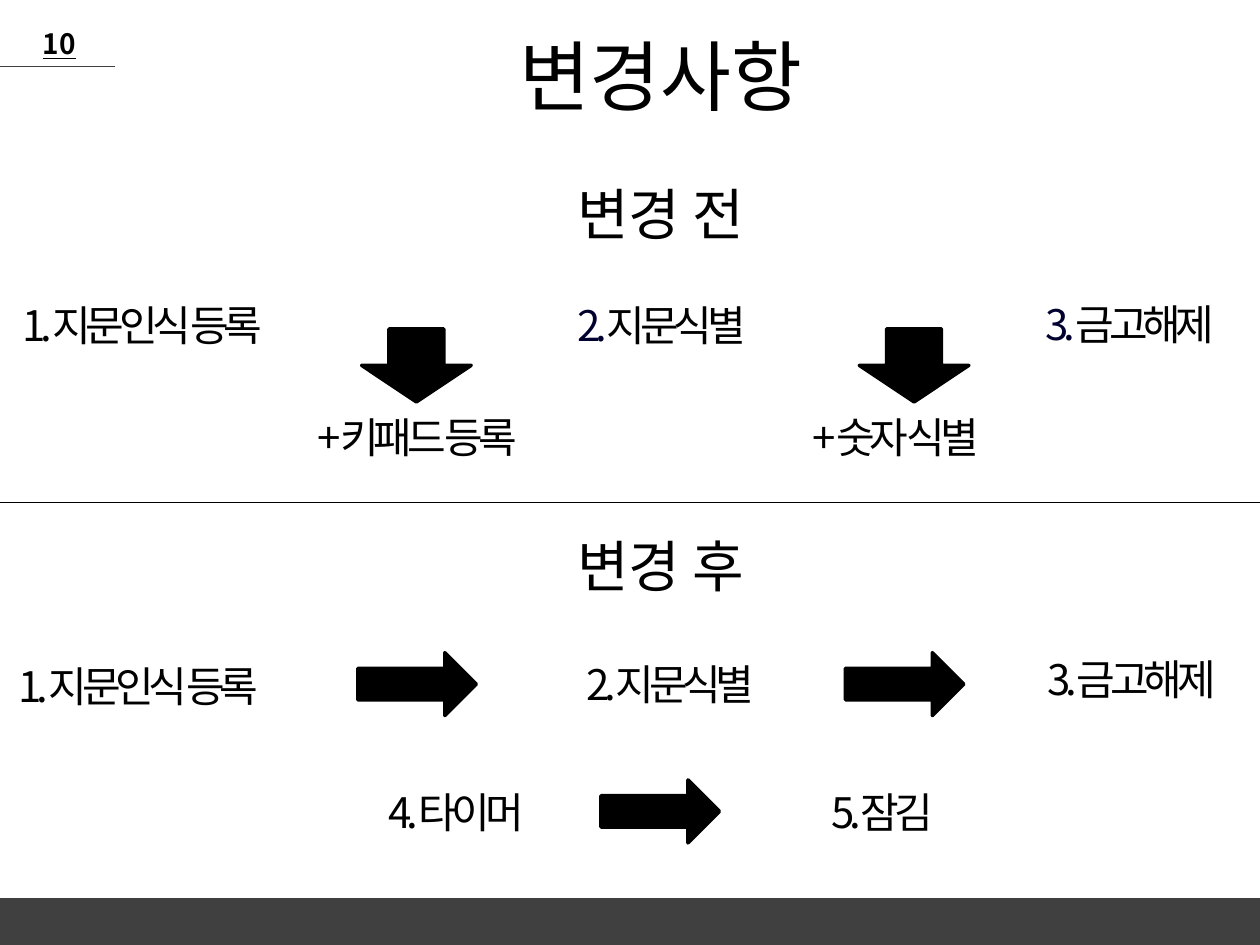
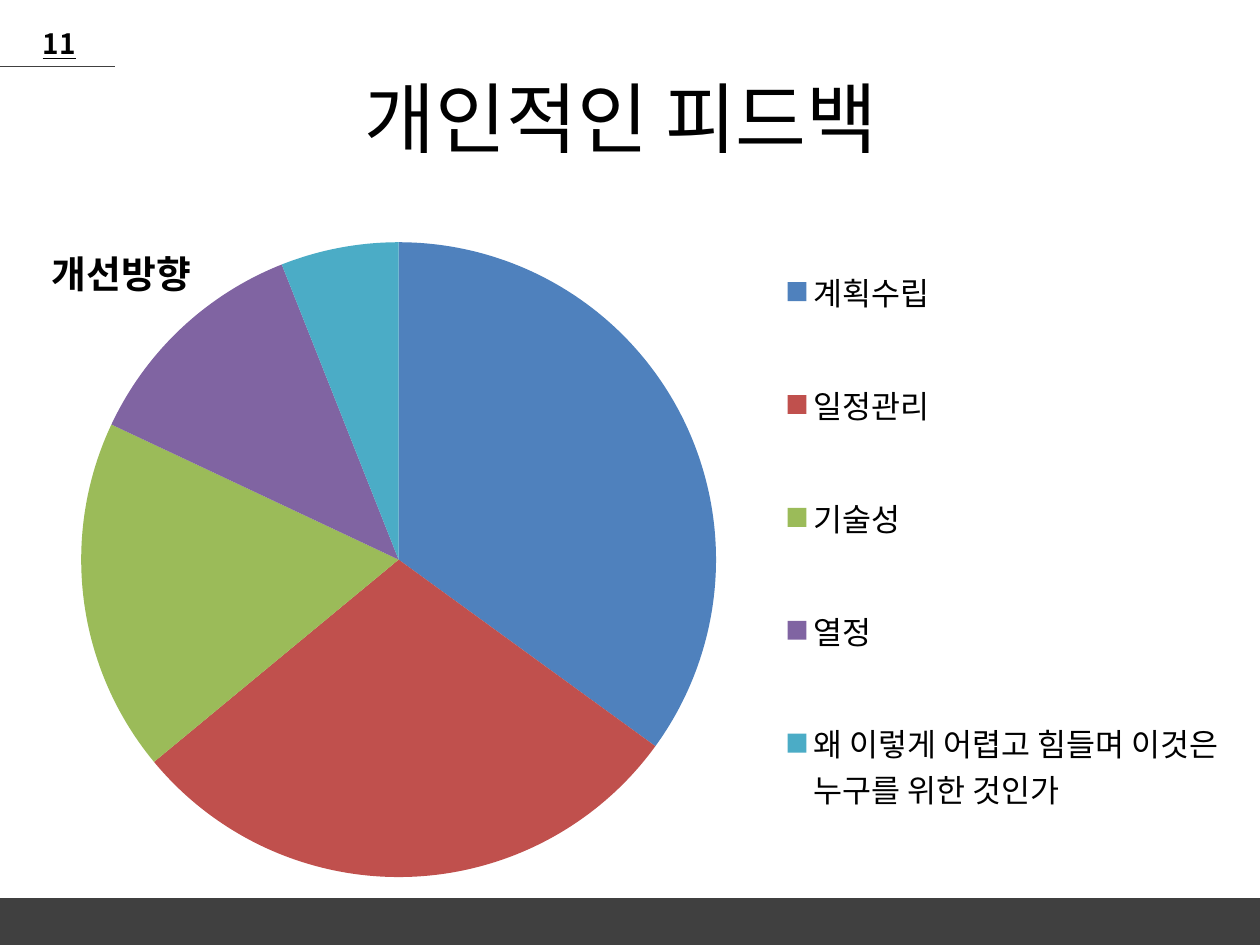
from lxml import etree
from pptx import Presentation, util as u
from pptx.chart.data import CategoryChartData
from pptx.dml.color import RGBColor
from pptx.enum import chart as charts, shapes, text
from pptx.oxml import parse_xml
from pptx.oxml.ns import nsdecls, qn

FONT = "Noto Sans CJK KR"
BLACK, NAVY, GRAY = "000000", "00002F", "404040"
PIE_COLORS = ["4F81BD", "C0504D", "9BBB59", "8064A2", "4BACC6"]
COLUMNS, ROWS = 100, 75
CENTER = text.PP_ALIGN.CENTER
MIDDLE = text.MSO_ANCHOR.MIDDLE
LABEL_WIDTH, LABEL_HEIGHT = 40.2, 5


def rgb(hex_color):
    return RGBColor.from_string(hex_color)


def write(frame, *parts, size=24, color=BLACK, bold=False, underline=False,
          align=None, anchor=None, spacing=0):
    """Fill one paragraph; a part is a string or a (string, colour) pair."""
    frame.word_wrap = True
    if anchor is not None:
        frame.vertical_anchor = anchor
    paragraph = frame.paragraphs[0]
    paragraph.alignment = align
    for part in parts:
        words, part_color = (part, color) if isinstance(part, str) else part
        run = paragraph.add_run()
        run.text = words
        font = run.font
        font.name, font.size, font.bold = FONT, u.Pt(size), bold
        font.underline = underline
        font.color.rgb = rgb(part_color)
        properties = run._r.get_or_add_rPr()
        if spacing:
            properties.set("spc", str(spacing * 100))
        east_asian = etree.SubElement(properties, qn("a:ea"))
        east_asian.set("typeface", FONT)
        properties.find(qn("a:latin")).addnext(east_asian)


def place(element, x, y, width=None, height=None):
    """Give a chart element a manual layout, in shares of the chart's size."""
    old = element.find(qn("c:layout"))
    if old is not None:
        element.remove(old)
    inner = '<c:layoutTarget val="inner"/>' if element.tag == qn("c:plotArea") else ""
    sizes = f'<c:w val="{width}"/><c:h val="{height}"/>' if width else ""
    layout = parse_xml(
        f'<c:layout {nsdecls("c")}><c:manualLayout>{inner}'
        '<c:xMode val="edge"/><c:yMode val="edge"/>'
        f'<c:x val="{x}"/><c:y val="{y}"/>{sizes}</c:manualLayout></c:layout>')
    before = {"c:title": "c:tx", "c:legend": "c:legendPos"}
    for tag, anchor in before.items():
        if element.tag == qn(tag):
            element.find(qn(anchor)).addnext(layout)
            return
    element.insert(0, layout)


class Deck:
    """Slides in one style, laid out on a grid of COLUMNS by ROWS."""

    def __init__(self):
        self.file = Presentation()
        self.file.slide_width, self.file.slide_height = u.Inches(10), u.Inches(7.5)
        self.slide = None

    def at(self, left, top, width, height):
        column = self.file.slide_width / COLUMNS
        row = self.file.slide_height / ROWS
        return [u.Emu(round(n * cell))
                for n, cell in zip((left, top, width, height), (column, row) * 2)]

    def start(self, title, title_box, number):
        self.slide = self.file.slides.add_slide(self.file.slide_layouts[5])
        heading = self.slide.shapes.title
        heading.left, heading.top, heading.width, heading.height = self.at(*title_box)
        write(heading.text_frame, title, size=44, align=CENTER, anchor=MIDDLE)
        self.block(shapes.MSO_SHAPE.RECTANGLE, 0, 71.4, COLUMNS, 3.6, GRAY)
        self.words((2.4, 1.6, 7.4, 3.7), number, size=16, bold=True, underline=True)
        self.rule(5.3, 9.1, GRAY)

    def words(self, box, *parts, **style):
        frame = self.slide.shapes.add_textbox(*self.at(*box)).text_frame
        write(frame, *parts, **style)

    def step(self, center, top, *parts):
        box = (center - LABEL_WIDTH / 2, top, LABEL_WIDTH, LABEL_HEIGHT)
        self.words(box, *parts, align=CENTER, spacing=-3)

    def subtitle(self, top, words):
        self.words((21.3, top, 62.3, 9.3), words, size=32, align=CENTER, anchor=MIDDLE)

    def block(self, kind, left, top, width, height, color=BLACK):
        shape = self.slide.shapes.add_shape(kind, *self.at(left, top, width, height))
        shape.shadow.inherit = False
        shape.fill.solid()
        shape.fill.fore_color.rgb = shape.line.color.rgb = rgb(color)
        shape.line.width = u.Pt(2)

    def down_arrow(self, left, top):
        self.block(shapes.MSO_SHAPE.DOWN_ARROW, left, top, 8.7, 5.8)

    def right_arrow(self, left, top):
        self.block(shapes.MSO_SHAPE.RIGHT_ARROW, left, top, 9.4, 5)

    def rule(self, row, width, color=BLACK):
        left, top, length, _ = self.at(0, row, width, 0)
        line = self.slide.shapes.add_connector(
            shapes.MSO_CONNECTOR.STRAIGHT, left, top, length, top)
        line.line.color.rgb = rgb(color)
        line.line.width = u.Pt(0.75)
        etree.SubElement(line._element.spPr, qn("a:effectLst"))

    def pie(self, box, name, shares):
        data = CategoryChartData()
        data.categories = list(shares)
        data.add_series(name, list(shares.values()))
        chart = self.slide.shapes.add_chart(
            charts.XL_CHART_TYPE.PIE, *self.at(*box), data).chart
        chart.font.name, chart.font.size = FONT, u.Pt(18)
        chart.font.color.rgb = rgb(BLACK)

        chart.has_title = True
        write(chart.chart_title.text_frame, name, size=21.6, bold=True)
        chart.chart_title.include_in_layout = True
        chart.has_legend = True
        chart.legend.position = charts.XL_LEGEND_POSITION.RIGHT
        chart.legend.include_in_layout = False

        plot = chart.plots[0]
        plot.vary_by_categories = True
        for index, color in enumerate(PIE_COLORS):
            fill = plot.series[0].points[index].format.fill
            fill.solid()
            fill.fore_color.rgb = rgb(color)

        place(chart.chart_title._element, 0.02, 0.14)
        place(chart.legend._element, 0.62, 0.1, 0.37, 0.88)
        place(chart._chartSpace.chart.plotArea, 0.05, 0.15, 0.52, 0.83)


def changes(deck):
    deck.start("변경사항", (21.3, 1.3, 62.3, 9.3), "10")

    deck.subtitle(12.3, "변경 전")
    deck.step(11.3, 23.3, "1.지문인식 등록")
    deck.step(52.5, 23.3, ("2.", NAVY), "지문식별")
    deck.step(89.7, 23.2, ("3.", NAVY), "금고해제")
    for arrow_left, center, addition in [(28.7, 33.1, "+키패드 등록"),
                                         (68.2, 71.1, "+숫자 식별")]:
        deck.down_arrow(arrow_left, 26.1)
        deck.step(center, 32.2, addition)

    deck.rule(39.9, COLUMNS)
    deck.subtitle(40.2, "변경 후")
    for center, top, step in [(11, 51.9, "1.지문인식 등록"), (53.2, 51.8, "2.지문식별"),
                              (89.8, 51.4, "3.금고해제"), (36.2, 61.9, "4.타이머"),
                              (70, 61.9, "5.잠김")]:
        deck.step(center, top, step)
    for left, top in [(28.4, 51.8), (67.1, 51.8), (47.7, 61.9)]:
        deck.right_arrow(left, top)


def feedback(deck):
    deck.start("개인적인 피드백 ", (5, 3, 90, 12.5), "11")
    deck.pie((1.6, 9.9, 96.9, 61.1), "개선방향", {
        "계획수립": 35,
        "일정관리": 29,
        "기술성": 18,
        "열정": 12,
        "왜 이렇게 어렵고 힘들며 이것은 누구를 위한 것인가": 6,
    })


def main():
    deck = Deck()
    changes(deck)
    feedback(deck)
    deck.file.save("out.pptx")


if __name__ == "__main__":
    main()
